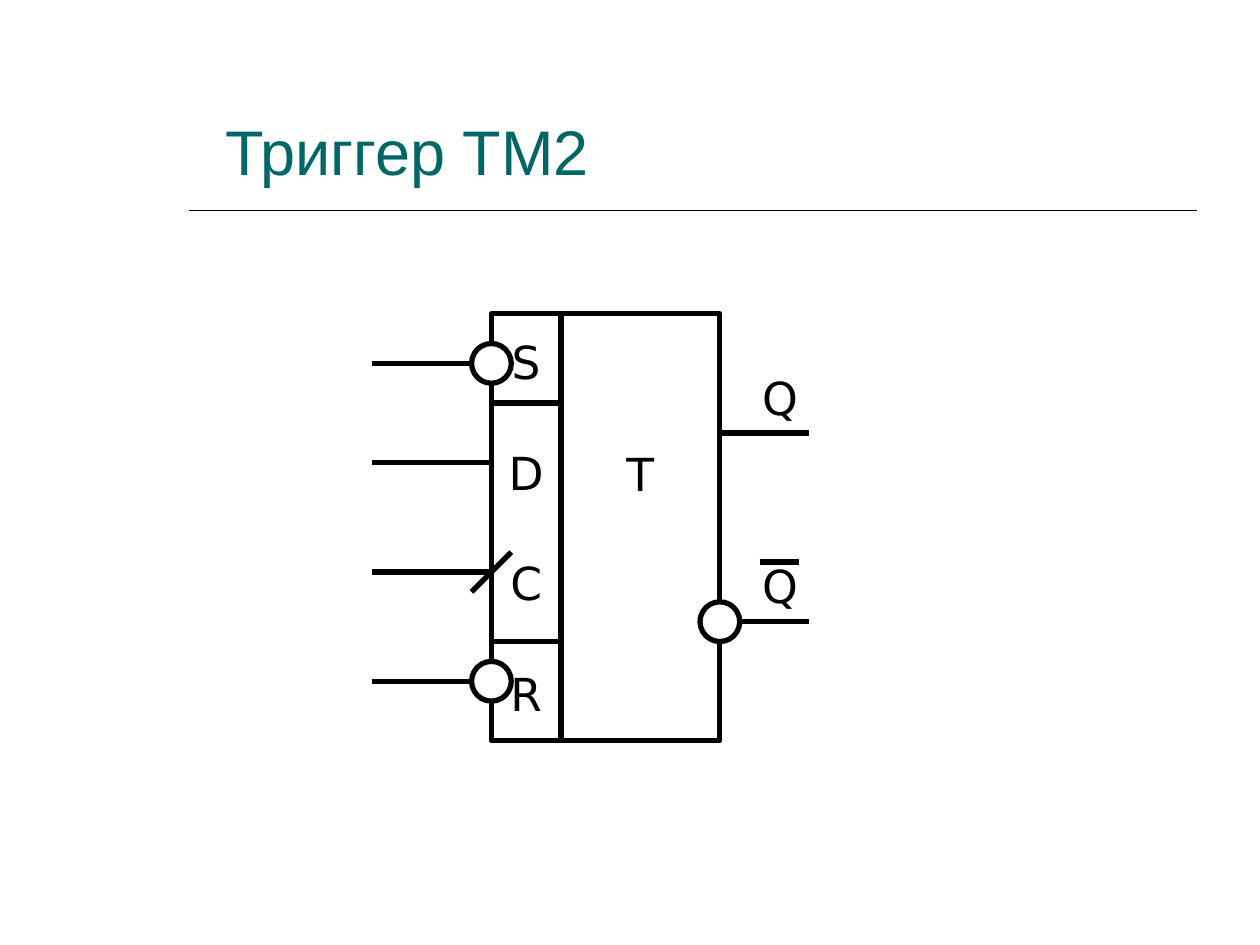
from lxml.etree import SubElement
from pptx import Presentation
from pptx.dml.color import RGBColor
from pptx.enum.shapes import MSO_CONNECTOR, MSO_SHAPE
from pptx.enum.text import MSO_ANCHOR, PP_ALIGN
from pptx.oxml.ns import qn
from pptx.util import Inches, Pt

BLACK = RGBColor(0x00, 0x00, 0x00)
WHITE = RGBColor(0xFF, 0xFF, 0xFF)
TEAL = RGBColor(0x00, 0x66, 0x66)

ROWS = 43
PIN_COLUMNS = 7
BODY_COLUMNS = 16
INPUT_LEAD = 12
OUTPUT_LEAD = 9
BUBBLE = 4
INPUT_ROWS = {"S": 5, "D": 15, "С": 26, "R": 37}
DIVIDER_ROWS = (9, 33)
OUTPUT_ROWS = (12, 31)


def add_line(slide, start, end, weight=3):
    points = [Inches(value) for value in (*start, *end)]
    line = slide.shapes.add_connector(MSO_CONNECTOR.STRAIGHT, *points)
    line.line.color.rgb = BLACK
    line.line.width = Pt(weight)
    SubElement(line._element.spPr, qn("a:effectLst"))


def add_outlined(slide, kind, left, top, width, height):
    shape = slide.shapes.add_shape(
        kind, Inches(left), Inches(top), Inches(width), Inches(height))
    shape.shadow.inherit = False
    shape.fill.solid()
    shape.fill.fore_color.rgb = WHITE
    shape.line.color.rgb = BLACK
    shape.line.width = Pt(3)
    return shape


def format_runs(text_frame, name, size, color):
    for paragraph in text_frame.paragraphs:
        for run in paragraph.runs:
            run.font.name = name
            run.font.size = Pt(size)
            run.font.color.rgb = color


def write_symbols(shape, symbols, gap=0):
    text_frame = shape.text_frame
    text_frame.text = "\n".join(symbols)
    text_frame.word_wrap = False
    text_frame.vertical_anchor = MSO_ANCHOR.MIDDLE
    for index, paragraph in enumerate(text_frame.paragraphs):
        paragraph.alignment = PP_ALIGN.CENTER
        if index:
            paragraph.space_before = Pt(gap)
    format_runs(text_frame, "DejaVu Sans", 26, BLACK)


def add_heading(slide, left, top, width, height):
    title = slide.shapes.title
    title.left, title.top = Inches(left), Inches(top)
    title.width, title.height = Inches(width), Inches(height)
    text_frame = title.text_frame
    text_frame.text = "Триггер ТМ2"
    text_frame.vertical_anchor = MSO_ANCHOR.BOTTOM
    text_frame.paragraphs[0].alignment = PP_ALIGN.LEFT
    format_runs(text_frame, "Arial", 36, TEAL)
    rule_y = top + height + 0.13
    add_line(slide, (1.5, rule_y), (9.5, rule_y), 1)


def add_flip_flop(slide, left, top, height):
    unit = height / ROWS

    def at(column, row):
        return left + column * unit, top + row * unit

    def line(start, end):
        add_line(slide, at(*start), at(*end))

    def block(column, columns):
        return add_outlined(slide, MSO_SHAPE.RECTANGLE, *at(column, 0),
                            columns * unit, height)

    def bubble(column, row):
        add_outlined(slide, MSO_SHAPE.OVAL,
                     *at(column - BUBBLE / 2, row - BUBBLE / 2),
                     BUBBLE * unit, BUBBLE * unit)

    write_symbols(block(0, PIN_COLUMNS), INPUT_ROWS, gap=32)
    body = block(PIN_COLUMNS, BODY_COLUMNS)
    write_symbols(body, "T")
    body.text_frame.margin_bottom = Inches(0.9)

    for row in INPUT_ROWS.values():
        line((-INPUT_LEAD, row), (0, row))
    for row in DIVIDER_ROWS:
        line((0, row), (PIN_COLUMNS, row))
    clock = INPUT_ROWS["С"]
    line((-2, clock + 2), (2, clock - 2))
    for name in "SR":
        bubble(0, INPUT_ROWS[name])

    edge = PIN_COLUMNS + BODY_COLUMNS
    for row in OUTPUT_ROWS:
        line((edge, row), (edge + OUTPUT_LEAD, row))
        x, y = at(edge + 3, row - 7)
        label = slide.shapes.add_textbox(
            Inches(x), Inches(y), Inches(9 * unit), Inches(7 * unit))
        label.text_frame.word_wrap = True
        label.text_frame.text = "Q"
        format_runs(label.text_frame, "DejaVu Sans", 26, BLACK)
    inverted = OUTPUT_ROWS[1]
    bubble(edge, inverted)
    line((edge + 4, inverted - 6), (edge + 8, inverted - 6))


def main():
    presentation = Presentation()
    presentation.slide_width = Inches(10)
    presentation.slide_height = Inches(7.5)
    slide = presentation.slides.add_slide(presentation.slide_layouts[5])
    add_heading(slide, 1.69, 0.08, 7.84, 1.46)
    add_flip_flop(slide, 3.9, 2.49, 3.39)
    presentation.save("out.pptx")


if __name__ == "__main__":
    main()
